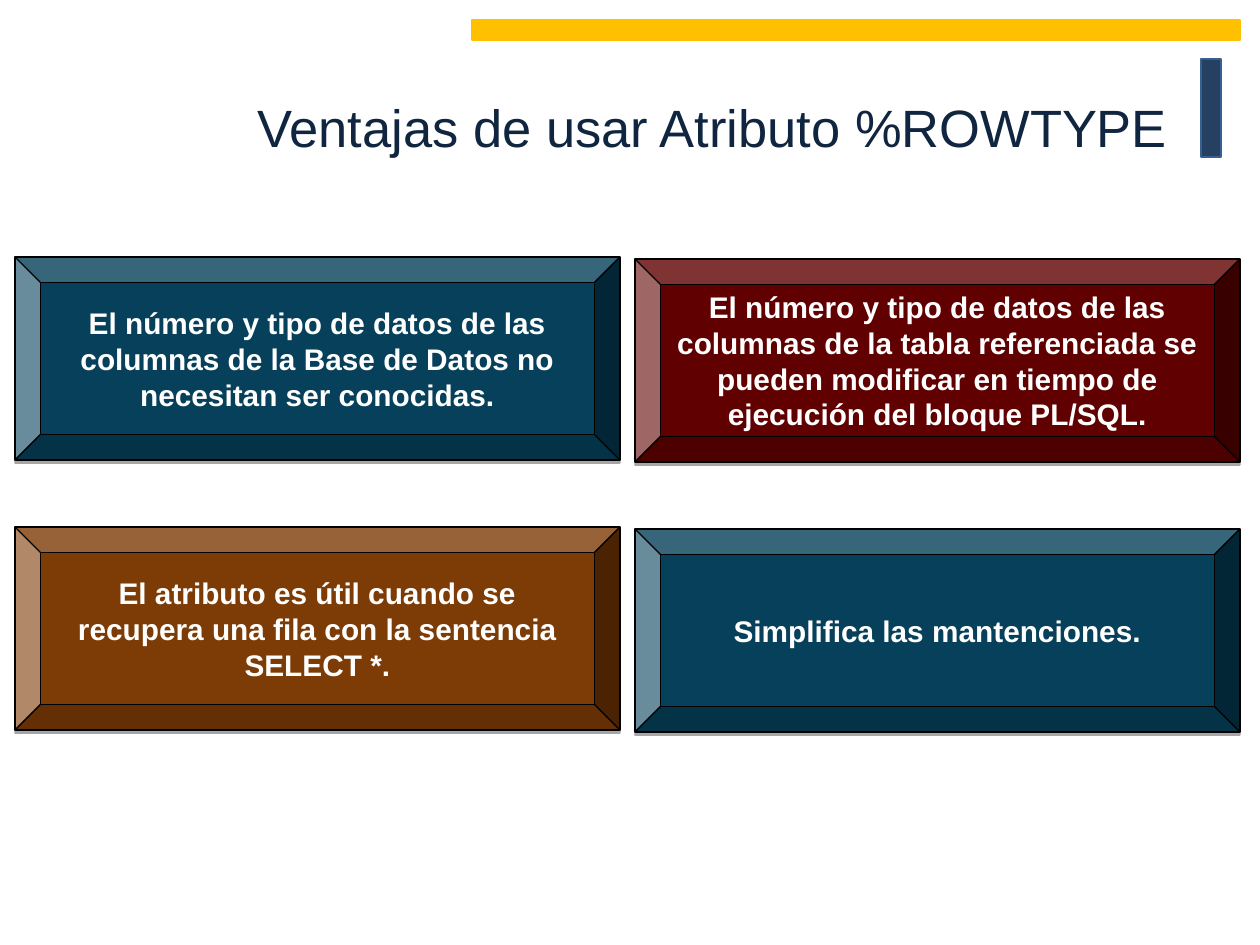
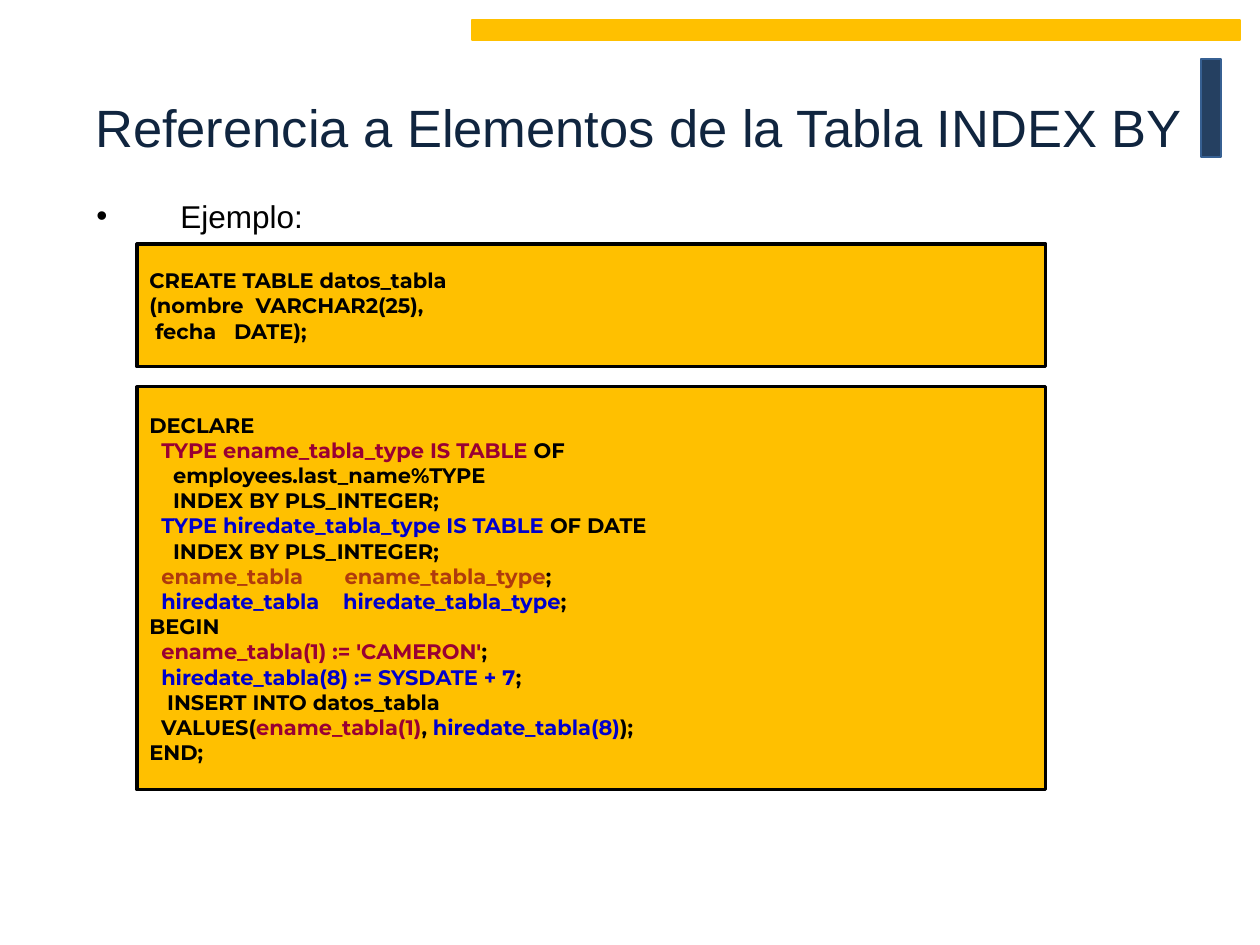
import pptx
import pptx.dml.color
import pptx.enum.shapes
import pptx.enum.text
import pptx.util
from lxml import etree
from pptx.oxml.ns import qn

PX = 914400 / 126
SHAPES = pptx.enum.shapes.MSO_SHAPE
ALIGN = pptx.enum.text.PP_ALIGN
MIDDLE = pptx.enum.text.MSO_ANCHOR.MIDDLE

BLACK, WHITE, AMBER = "000000", "FFFFFF", "FFC000"
NAVY, STEEL, TITLE_INK = "254061", "376092", "10253F"
TEAL, MAROON, BROWN = "06405A", "600000", "7D3B05"
CRIMSON, BLUE, RUST = "990033", "0000CC", "AF3B0D"

BANDS = [((1201, 59, 20, 98), NAVY, STEEL), ((472, 20, 768, 20), AMBER, AMBER)]

ADVANTAGES_TITLE = "Ventajas de usar Atributo %ROWTYPE "
ADVANTAGES = [
    ("El número y tipo de datos de las columnas de la Base de Datos no necesitan ser conocidas.", TEAL),
    ("El número y tipo de datos de las columnas de la tabla referenciada se pueden modificar "
     "en tiempo de ejecución del bloque PL/SQL.", MAROON),
    ("El atributo es útil cuando se recupera una fila con la sentencia SELECT *.", BROWN),
    ("Simplifica las mantenciones.", TEAL),
]

INDEX_BY_TITLE = "Referencia a Elementos de la Tabla INDEX BY"
EXAMPLE_LABEL = "Ejemplo:"
CREATE_TABLE = [
    [("CREATE TABLE datos_tabla", BLACK)],
    [("(nombre  VARCHAR2(25),", BLACK)],
    [(" fecha   DATE);", BLACK)],
]
PLSQL_BLOCK = [
    [("DECLARE", BLACK)],
    [("  ", BLACK), ("TYPE ename_tabla_type IS TABLE", CRIMSON), (" OF", BLACK)],
    [("    employees.last_name%TYPE", BLACK)],
    [("    INDEX BY PLS_INTEGER;", BLACK)],
    [("  ", BLACK), ("TYPE hiredate_tabla_type IS TABLE ", BLUE), ("OF DATE", BLACK)],
    [("    INDEX BY PLS_INTEGER;", BLACK)],
    [("  ", BLACK), ("ename_tabla       ename_tabla_type", RUST), (";", BLACK)],
    [("  ", BLACK), ("hiredate_tabla    hiredate_tabla_type", BLUE), (";", BLACK)],
    [("BEGIN", BLACK)],
    [("  ", BLACK), ("ename_tabla(1) := 'CAMERON'", CRIMSON), (";", BLACK)],
    [("  ", BLACK), ("hiredate_tabla(8) := SYSDATE + 7", BLUE), (";", BLACK)],
    [("   INSERT INTO datos_tabla", BLACK)],
    [("  VALUES(", BLACK), ("ename_tabla(1)", CRIMSON), (", ", BLACK),
     ("hiredate_tabla(8)", BLUE), (");", BLACK)],
    [("END;", BLACK)],
]
CODE_BOXES = [(244, 123, CREATE_TABLE), (387, 403, PLSQL_BLOCK)]


def px(length):
    return pptx.util.Emu(round(length * PX))


def color(hex_value):
    return pptx.dml.color.RGBColor.from_string(hex_value)


def add_box(slide, kind, box, fill, line, line_width=0.75):
    shape = slide.shapes.add_shape(kind, *map(px, box))
    shape.shadow.inherit = False
    shape.fill.solid()
    shape.fill.fore_color.rgb = color(fill)
    shape.line.color.rgb = color(line)
    shape.line.width = pptx.util.Pt(line_width)
    return shape


def add_text_box(slide, box):
    shape = slide.shapes.add_textbox(*map(px, box))
    shape.text_frame.word_wrap = True
    return shape


def write(shape, lines, size, font="Arial", bold=False, align=ALIGN.LEFT, anchor=MIDDLE):
    frame = shape.text_frame
    frame.vertical_anchor = anchor
    for index, line in enumerate(lines):
        paragraph = frame.add_paragraph() if index else frame.paragraphs[0]
        paragraph.alignment = align
        for text, ink in line:
            run = paragraph.add_run()
            run.text = text
            run.font.name = font
            run.font.size = pptx.util.Pt(size)
            run.font.bold = bold
            run.font.color.rgb = color(ink)


def add_drop_shadow(shape):
    effects = shape._element.spPr.find(qn("a:effectLst"))
    shadow = etree.SubElement(effects, qn("a:outerShdw"), blurRad="0",
                              dist=str(pptx.util.Pt(1.8)), dir="5400000", rotWithShape="0")
    ink = etree.SubElement(shadow, qn("a:srgbClr"), val=BLACK)
    etree.SubElement(ink, qn("a:alpha"), val="35000")


def add_bullet(paragraph, indent):
    properties = paragraph._p.get_or_add_pPr()
    properties.set("marL", str(px(indent)))
    properties.set("indent", str(-px(indent)))
    etree.SubElement(properties, qn("a:buFont"), typeface="Arial")
    etree.SubElement(properties, qn("a:buChar"), char="•")


def add_titled_slide(presentation, title, left):
    slide = presentation.slides.add_slide(presentation.slide_layouts[6])
    for box, fill, line in BANDS:
        add_box(slide, SHAPES.RECTANGLE, box, fill, line)
    title_box = add_text_box(slide, (left, 26, 1195 - left, 202))
    write(title_box, [[(title, TITLE_INK)]], 30, align=ALIGN.RIGHT)
    return slide


def build_advantages(presentation):
    slide = add_titled_slide(presentation, ADVANTAGES_TITLE, 122)
    left, top, width, height = 15, 257, 605, 203
    column_step, row_step, column_drop = width + 15, 270, 2
    for index, (text, fill) in enumerate(ADVANTAGES):
        row, column = divmod(index, 2)
        box = (left + column * column_step, top + row * row_step + column * column_drop, width, height)
        bevel = add_box(slide, SHAPES.BEVEL, box, fill, BLACK)
        bevel.adjustments[0] = 0.125
        add_drop_shadow(bevel)
        write(bevel, [[(text, WHITE)]], 17, bold=True, align=ALIGN.CENTER)


def build_index_by(presentation):
    slide = add_titled_slide(presentation, INDEX_BY_TITLE, 44)
    label = add_text_box(slide, (84, 198, 1101, 57))
    paragraph = label.text_frame.paragraphs[0]
    add_bullet(paragraph, 84)
    paragraph.line_spacing = 0.8
    write(label, [[(EXAMPLE_LABEL, BLACK)]], 18, align=ALIGN.JUSTIFY,
          anchor=pptx.enum.text.MSO_ANCHOR.TOP)
    for top, height, lines in CODE_BOXES:
        code_box = add_box(slide, SHAPES.RECTANGLE, (137, top, 909, height), AMBER, BLACK, 1.75)
        write(code_box, lines, 12, font="Montserrat", bold=True)


def main():
    presentation = pptx.Presentation()
    presentation.slide_width = px(1260)
    presentation.slide_height = px(945)
    build_advantages(presentation)
    build_index_by(presentation)
    presentation.save("out.pptx")


if __name__ == "__main__":
    main()
